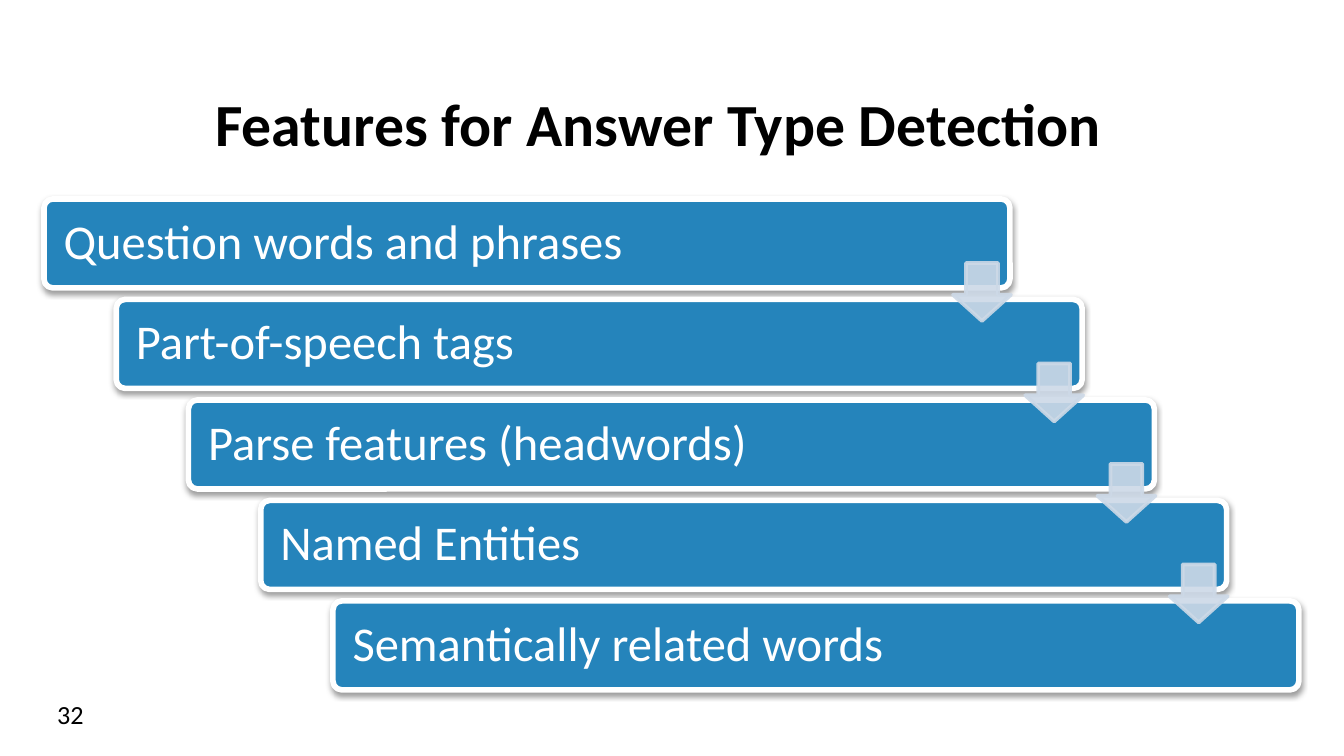
from lxml.etree import SubElement
from pptx import Presentation
from pptx.dml.color import RGBColor
from pptx.enum.shapes import MSO_SHAPE as Shape
from pptx.enum.text import MSO_ANCHOR as Anchor, PP_ALIGN as Align
from pptx.oxml import parse_xml
from pptx.oxml.ns import nsdecls, qn
from pptx.util import Pt

TITLE = "Features for Answer Type Detection"
PAGE_NUMBER = "32"
FEATURES = [
    "Question words and phrases",
    "Part-of-speech tags",
    "Parse features (headwords)",
    "Named Entities",
    "Semantically related words",
]

FONT = "Calibri"
BLACK, WHITE, BLUE, PALE = "000000", "FFFFFF", "2584BB", "CDD9E7"
FIRST_BAR, LAST_BAR = (44, 199), (333, 601)
BAR_WIDTH, BAR_HEIGHT = 966, 89
ARROW_OFFSET, ARROW_SIZE = (909, 64), 58
SHADOW = (
    f'<a:effectLst {nsdecls("a")}>'
    '<a:outerShdw blurRad="39400" dist="20300" dir="5400000" rotWithShape="0">'
    '<a:srgbClr val="000000"><a:alpha val="38000"/></a:srgbClr>'
    "</a:outerShdw></a:effectLst>"
)


def px(value):
    return round(value * 914400 / 134.4)


def color(value):
    return RGBColor.from_string(value)


def write(shape, text, size, ink, anchor, bold=False):
    frame = shape.text_frame
    frame.word_wrap = True
    frame.vertical_anchor = anchor
    paragraph = frame.paragraphs[0]
    paragraph.alignment = Align.LEFT
    run = paragraph.add_run()
    run.text = text
    run.font.name = FONT
    run.font.size = Pt(size)
    run.font.bold = bold
    run.font.color.rgb = color(ink)
    return frame


def add_text(slide, box, *style):
    write(slide.shapes.add_textbox(*map(px, box)), *style)


def add_shape(slide, kind, box, adjustments, fill, line, width):
    shape = slide.shapes.add_shape(kind, *map(px, box))
    shape.shadow.inherit = False
    for index, value in enumerate(adjustments):
        shape.adjustments[index] = value
    shape.fill.solid()
    shape.fill.fore_color.rgb = color(fill)
    shape.line.color.rgb = color(line)
    shape.line.width = Pt(width)
    return shape


def add_bar(slide, left, top, text):
    box = (left, top, BAR_WIDTH, BAR_HEIGHT)
    bar = add_shape(slide, Shape.ROUNDED_RECTANGLE, box, [0.1], BLUE, WHITE, 3)
    properties = bar.fill._xPr
    properties.replace(properties.find(qn("a:effectLst")), parse_xml(SHADOW))
    frame = write(bar, text, 26, WHITE, Anchor.MIDDLE)
    frame.margin_left = px(17)
    frame.paragraphs[0].line_spacing = 0.9


def add_arrow(slide, left, top):
    box = (left + ARROW_OFFSET[0], top + ARROW_OFFSET[1], ARROW_SIZE, ARROW_SIZE)
    arrow = add_shape(slide, Shape.DOWN_ARROW, box, [0.55, 0.45], PALE, PALE, 2)
    for tint in arrow.fill._xPr.iter(qn("a:srgbClr")):
        SubElement(tint, qn("a:alpha")).set("val", "90000")


def main():
    presentation = Presentation()
    presentation.slide_width, presentation.slide_height = px(1344), px(756)
    slide = presentation.slides.add_slide(presentation.slide_layouts[6])
    add_text(slide, (202, 56, 1098, 109), TITLE, 32, BLACK, Anchor.BOTTOM, True)
    add_text(slide, (44, 692, 292, 51), PAGE_NUMBER, 14, BLACK, Anchor.TOP)

    steps = len(FEATURES) - 1
    corners = [
        [start + (end - start) * index / steps for start, end in zip(FIRST_BAR, LAST_BAR)]
        for index in range(len(FEATURES))
    ]
    for corner, feature in zip(corners, FEATURES):
        add_bar(slide, *corner, feature)
    for corner in corners[:-1]:
        add_arrow(slide, *corner)
    presentation.save("out.pptx")


if __name__ == "__main__":
    main()
